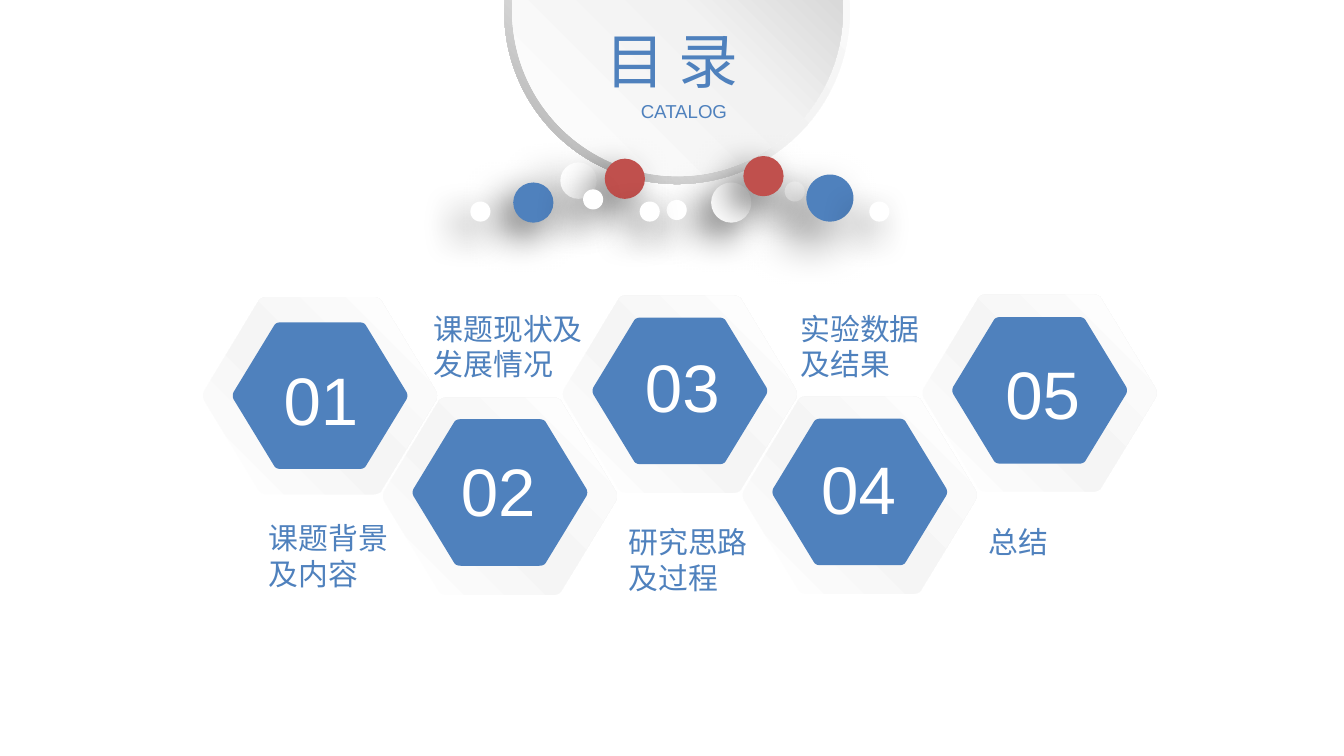
"""Build a catalogue slide with a medallion, scattered balls and five hexagon entries."""
from dataclasses import dataclass

import lxml.etree
import pptx
import pptx.dml.color
import pptx.enum.shapes
import pptx.enum.text
import pptx.oxml.ns
import pptx.util

Cm = pptx.util.Cm
COLOURS = {"blue": "4F81BD", "red": "C0504D", "white": "FFFFFF", "black": "000000",
           "pale": "F2F2F2", "mist": "F5F5F5", "silver": "BFBFBF", "grey": "A6A6A6"}
LATIN = "Arial"
CHINESE = "Noto Sans CJK SC"
OVAL = pptx.enum.shapes.MSO_SHAPE.OVAL
DONUT = pptx.enum.shapes.MSO_SHAPE.DONUT


@dataclass(frozen=True)
class Gradient:
    stops: tuple
    angle: int


@dataclass(frozen=True)
class Shadow:
    opacity: int
    blur: int
    distance: int


@dataclass(frozen=True)
class Ball:
    left: float
    top: float
    size: float
    colour: str
    shadow: Shadow


@dataclass(frozen=True)
class Box:
    left: float
    top: float
    width: float
    height: float


@dataclass(frozen=True)
class Entry:
    label: str
    rim_middle: float
    core_middle: float
    number_box: Box
    label_box: Box


RING = Gradient(((0, "white"), (55, "pale"), (100, "grey")), 135)
DISC = Gradient(((0, "white"), (51, "pale"), (100, "silver")), 315)
RIM = Gradient(((0, "white"), (47, "mist"), (100, "white")), 315)
NEAR = Shadow(60, 20, 10)
FAR = Shadow(50, 25, 15)
BALLS = (
    Ball(13.44, 3.45, 0.76, "white", NEAR),
    Ball(12.6, 3.78, 0.38, "white", NEAR),
    Ball(14.83, 3.43, 0.38, "white", NEAR),
    Ball(10.59, 3.07, 0.69, "white", FAR),
    Ball(11.43, 3.0, 0.76, "red", NEAR),
    Ball(12.09, 3.81, 0.38, "white", NEAR),
    Ball(15.24, 3.3, 0.89, "blue", FAR),
    Ball(9.7, 3.45, 0.76, "blue", NEAR),
    Ball(8.89, 3.81, 0.38, "white", NEAR),
    Ball(14.05, 2.95, 0.76, "red", NEAR),
    Ball(11.02, 3.58, 0.38, "white", NEAR),
    Ball(16.43, 3.81, 0.38, "white", NEAR),
)
ENTRIES = (
    Entry("课题背景及内容", 7.48, 7.48, Box(5.11, 6.65, 2.24, 1.8), Box(4.83, 9.7, 2.84, 1.63)),
    Entry("课题现状及发展情况", 9.38, 9.31, Box(8.46, 8.36, 2.18, 1.8), Box(7.95, 5.74, 3.38, 1.63)),
    Entry("研究思路及过程", 7.45, 7.39, Box(11.94, 6.4, 2.16, 1.8), Box(11.63, 9.78, 2.84, 1.63)),
    Entry("实验数据及结果", 9.36, 9.3, Box(15.27, 8.33, 2.46, 1.8), Box(14.88, 5.74, 2.84, 1.63)),
    Entry("总结", 7.43, 7.38, Box(18.75, 6.53, 2.34, 1.8), Box(18.44, 9.78, 2.84, 0.94)),
)
FIRST_CENTRE, PITCH = 6.05, 3.4
HALF_CORNERS = (
    ((0.99, -0.05), (1.01, 0), (0.99, 0.05)),
    ((0.53, 0.95), (0.51, 1), (0.45, 1)),
    ((-0.45, 1), (-0.51, 1), (-0.53, 0.95)),
)
CORNER_STEPS = 6


def rgb(colour: str) -> pptx.dml.color.RGBColor:
    """Return the named colour."""
    return pptx.dml.color.RGBColor.from_string(COLOURS[colour])


def add_element(parent, tag: str, **attributes):
    """Append a DrawingML element to the parent and return it."""
    values = {name: str(value) for name, value in attributes.items()}
    return lxml.etree.SubElement(parent, pptx.oxml.ns.qn(tag), values)


def paint(shape, fill: str | Gradient) -> None:
    """Give the shape a flat or gradient fill without line or shadow."""
    shape.shadow.inherit = False
    shape.line.fill.background()
    if isinstance(fill, str):
        shape.fill.solid()
        shape.fill.fore_color.rgb = rgb(fill)
        return
    shape.fill.gradient()
    shape.fill.gradient_angle = 360 - fill.angle
    stop_list = next(shape.element.iter(pptx.oxml.ns.qn("a:gsLst")))
    for stop in list(stop_list):
        stop_list.remove(stop)
    for position, colour in fill.stops:
        stop = add_element(stop_list, "a:gs", pos=position * 1000)
        add_element(stop, "a:srgbClr", val=COLOURS[colour])


def add_round(slide, kind, left: float, top: float, size: float, fill: str | Gradient):
    """Add a round preset shape and return it."""
    shape = slide.shapes.add_shape(kind, Cm(left), Cm(top), Cm(size), Cm(size))
    paint(shape, fill)
    return shape


def add_ball(slide, ball: Ball) -> None:
    """Add a ball with its shadow falling to the lower left."""
    shape = add_round(slide, OVAL, ball.left, ball.top, ball.size, ball.colour)
    effects = next(shape.element.iter(pptx.oxml.ns.qn("a:effectLst")))
    outer = add_element(effects, "a:outerShdw", blurRad=pptx.util.Pt(ball.shadow.blur),
                        dist=pptx.util.Pt(ball.shadow.distance), dir=135 * 60000,
                        algn="ctr", rotWithShape=0)
    colour = add_element(outer, "a:srgbClr", val=COLOURS["black"])
    add_element(colour, "a:alpha", val=ball.shadow.opacity * 1000)


def hexagon_points() -> list[tuple[float, float]]:
    """Return the outline of a rounded hexagon within a square from -1 to 1."""
    half = []
    for start, control, end in HALF_CORNERS:
        for step in range(CORNER_STEPS + 1):
            t = step / CORNER_STEPS
            half.append(tuple((1 - t) ** 2 * a + 2 * t * (1 - t) * b + t ** 2 * c
                              for a, b, c in zip(start, control, end)))
    return half + [(-x, -y) for x, y in half]


def add_hexagon(slide, centre: float, middle: float, width: float, height: float,
                fill: str | Gradient) -> None:
    """Add a rounded hexagon around the given centre."""
    points = [(Cm(centre + x * width / 2), Cm(middle + y * height / 2))
              for x, y in hexagon_points()]
    builder = slide.shapes.build_freeform(*points[0])
    builder.add_line_segments(points[1:], close=True)
    paint(builder.convert_to_shape(), fill)


def add_text(slide, box: Box, text: str, size: int, colour: str, font: str = LATIN):
    """Add a wrapping text box with one run and return its frame."""
    shape = slide.shapes.add_textbox(Cm(box.left), Cm(box.top), Cm(box.width), Cm(box.height))
    frame = shape.text_frame
    frame.word_wrap = True
    frame.auto_size = pptx.enum.text.MSO_AUTO_SIZE.SHAPE_TO_FIT_TEXT
    run = frame.paragraphs[0].add_run()
    run.text = text
    run.font.size = pptx.util.Pt(size)
    run.font.name = font
    run.font.color.rgb = rgb(colour)
    return frame


def main() -> None:
    """Build and save the slide."""
    presentation = pptx.Presentation()
    presentation.slide_width, presentation.slide_height = Cm(25.4), Cm(14.29)
    slide = presentation.slides.add_slide(presentation.slide_layouts[6])

    ring = add_round(slide, DONUT, 9.53, -3.05, 6.53, RING)
    ring.adjustments[0] = 0.05
    add_round(slide, OVAL, 9.68, -2.92, 6.25, DISC)
    for ball in BALLS:
        add_ball(slide, ball)

    add_text(slide, Box(11.2, 0.33, 3.43, 1.63), "目 录", 32, "blue", CHINESE)
    subtitle = add_text(slide, Box(11.02, 1.57, 3.81, 1.07), "CATALOG", 10, "blue")
    subtitle.auto_size = pptx.enum.text.MSO_AUTO_SIZE.NONE
    subtitle.vertical_anchor = pptx.enum.text.MSO_ANCHOR.MIDDLE
    subtitle.margin_left = subtitle.margin_right = Cm(0.18)
    subtitle.margin_top = subtitle.margin_bottom = Cm(0.1)
    subtitle.paragraphs[0].alignment = pptx.enum.text.PP_ALIGN.CENTER

    for index, entry in enumerate(ENTRIES):
        centre = FIRST_CENTRE + index * PITCH
        add_hexagon(slide, centre, entry.rim_middle, 4.45, 3.78, "white")
        add_hexagon(slide, centre, entry.rim_middle, 4.42, 3.73, RIM)
        add_hexagon(slide, centre, entry.core_middle, 3.3, 2.77, "blue")
        add_text(slide, entry.number_box, f"{index + 1:02}", 36, "white")
        add_text(slide, entry.label_box, entry.label, 16, "blue")
    presentation.save("out.pptx")


if __name__ == "__main__":
    main()
